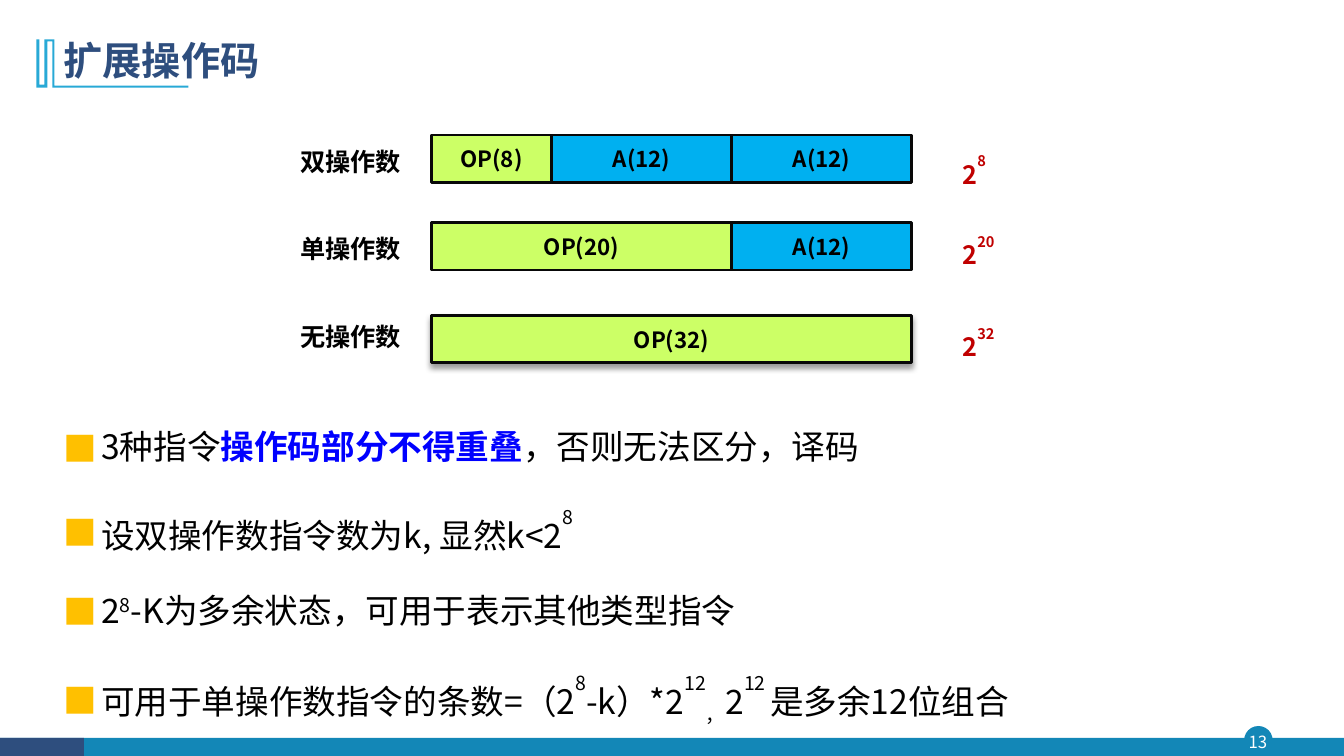
"""Build the slide on extended operation codes."""
from lxml.etree import SubElement
from pptx import Presentation
from pptx.dml.color import RGBColor
from pptx.enum.shapes import MSO_SHAPE
from pptx.enum.text import MSO_ANCHOR, PP_ALIGN
from pptx.oxml.ns import qn
from pptx.util import Pt

FONT = "Noto Sans CJK SC"
BLACK, WHITE, NAVY, TEAL, SKY = "000000", "FFFFFF", "2E4E7E", "1387B7", "28A9D6"
RED, BLUE, AMBER = "C00000", "0000FF", "FFC000"
OPCODE, ADDRESS, OUTLINE = "CCFF66", "00B0F0", "080808"

BIT_WIDTH, FIELD_LEFT, FIELD_HEIGHT = 10.72, 308.2, 33.8
FORMATS = [
    ("双操作数", 96.5, 100.8, 105.1, "8", [("OP", 8), ("A", 12), ("A", 12)]),
    ("单操作数", 159.1, 163.4, 162.7, "20", [("OP", 20), ("A", 12)]),
    ("无操作数", 225.4, 226.1, 228.2, "32", [("OP", 32)]),
]
ORNAMENT = [
    (38.9, 28.1), (38.9, 61.2), (134.6, 61.2), (134.6, 62.6), (37.4, 62.6),
    (37.4, 29.5), (33.8, 29.5), (33.8, 62.6), (25.9, 62.6), (25.9, 28.1),
    (28.1, 28.1), (28.1, 60.5), (31.7, 60.5), (31.7, 28.1),
]
POINTS = [
    [("3种指令", 0), ("操作码部分不得重叠", 0, BLUE), ("，否则无法区分，译码", 0)],
    [("设双操作数指令数为k, 显然k<2", 0), ("8", 70)],
    [("2", 0), ("8", 30), ("-K为多余状态，可用于表示其他类型指令", 0)],
    [("可用于单操作数指令的条数=（2", 0), ("8", 70), ("-k）*2", 0), ("12", 70),
     ("，", -25), ("2", 0), ("12 ", 70), ("是多余12位组合", 0)],
]


def rgb(code):
    return RGBColor.from_string(code)


class SlideBuilder:
    """Holds the text style and the current slide."""

    def __init__(self, slide, font):
        self.slide = slide
        self.font = font

    def style(self, run, size, color, bold=False, baseline=0):
        run.font.size = Pt(size)
        run.font.bold = bold
        run.font.name = self.font
        run.font.color.rgb = rgb(color)
        properties = run.font._element
        SubElement(properties, qn("a:ea")).set("typeface", self.font)
        if baseline:
            properties.set("baseline", str(baseline * 1000))

    def title(self, text, left, top, width, height):
        title = self.slide.shapes.title
        title.left, title.top, title.width, title.height = map(
            Pt, (left, top, width, height))
        frame = title.text_frame
        frame.text = text
        frame.vertical_anchor = MSO_ANCHOR.MIDDLE
        paragraph = frame.paragraphs[0]
        paragraph.alignment = PP_ALIGN.LEFT
        paragraph.line_spacing = 0.9
        self.style(paragraph.runs[0], 28, NAVY, bold=True)

    def block(self, kind, left, top, width, height, fill, line=None, text=""):
        block = self.slide.shapes.add_shape(
            kind, Pt(left), Pt(top), Pt(width), Pt(height))
        block.shadow.inherit = False
        block.fill.solid()
        block.fill.fore_color.rgb = rgb(fill)
        if line:
            block.line.color.rgb = rgb(line)
            block.line.width = Pt(2)
        else:
            block.line.fill.background()
        if text:
            block.text_frame.text = text
            block.text_frame.vertical_anchor = MSO_ANCHOR.MIDDLE
            paragraph = block.text_frame.paragraphs[0]
            paragraph.alignment = PP_ALIGN.CENTER
            self.style(paragraph.runs[0], 16, BLACK, bold=True)
        return block

    def drop_shadow(self, block):
        effects = block._element.spPr.find(qn("a:effectLst"))
        shadow = SubElement(effects, qn("a:outerShdw"), blurRad=str(Pt(4)),
                            dist=str(Pt(3)), dir="5400000", rotWithShape="0")
        color = SubElement(shadow, qn("a:srgbClr"), val=BLACK)
        SubElement(color, qn("a:alpha"), val="40000")

    def outline(self, points, fill):
        start, *rest = [(Pt(x), Pt(y)) for x, y in points]
        builder = self.slide.shapes.build_freeform(*start)
        builder.add_line_segments(rest, close=True)
        ornament = builder.convert_to_shape()
        ornament.shadow.inherit = False
        ornament.fill.solid()
        ornament.fill.fore_color.rgb = rgb(fill)
        ornament.line.fill.background()

    def text(self, parts, left, top, width, height, size, color, bold=False):
        label = self.slide.shapes.add_textbox(
            Pt(left), Pt(top), Pt(width), Pt(height))
        frame = label.text_frame
        frame.word_wrap = True
        self.add_runs(frame.paragraphs[0], parts, size, color, bold)
        return frame

    def add_runs(self, paragraph, parts, size, color, bold=False):
        for text, baseline, *accent in parts:
            run = paragraph.add_run()
            run.text = text
            self.style(run, size, accent[0] if accent else color,
                       bold or bool(accent), baseline)

    def bullets(self, points, left, top, width, height):
        body = self.slide.shapes.add_textbox(
            Pt(left), Pt(top), Pt(width), Pt(height))
        frame = body.text_frame
        frame.word_wrap = True
        for index, parts in enumerate(points):
            paragraph = frame.add_paragraph() if index else frame.paragraphs[0]
            paragraph.line_spacing = 1.5
            paragraph.space_before = Pt(10 if index else 0)
            properties = paragraph._p.get_or_add_pPr()
            properties.set("marL", str(Pt(27)))
            properties.set("indent", str(Pt(-27)))
            bullet_color = SubElement(properties, qn("a:buClr"))
            SubElement(bullet_color, qn("a:srgbClr"), val=AMBER)
            SubElement(properties, qn("a:buFont"), typeface=self.font)
            SubElement(properties, qn("a:buChar"), char="■")
            self.add_runs(paragraph, parts, 24, BLACK)


def main():
    deck = Presentation()
    deck.slide_width, deck.slide_height = Pt(960), Pt(540)
    page = SlideBuilder(deck.slides.add_slide(deck.slide_layouts[5]), FONT)

    page.block(MSO_SHAPE.OVAL, 888.7, 518.6, 20.4, 20.4, TEAL)
    page.block(MSO_SHAPE.RECTANGLE, 0, 527, 960, 13, TEAL)
    page.block(MSO_SHAPE.RECTANGLE, 0, 527, 60, 13, NAVY)
    number = page.text([("13", 0)], 887, 519, 23, 22, 12, WHITE)
    number.margin_left = number.margin_right = 0
    number.margin_top = number.margin_bottom = 0
    number.vertical_anchor = MSO_ANCHOR.MIDDLE
    number.paragraphs[0].alignment = PP_ALIGN.CENTER

    page.outline(ORNAMENT, SKY)
    page.title("扩展操作码", 38.2, 20.2, 828, 49)
    page.bullets(POINTS, 38.2, 286.6, 828, 231.8)

    for name, top, name_top, count_top, exponent, fields in FORMATS:
        page.text([("2", 0), (exponent, 70)], 680.4, count_top, 90.7, 29, 18, RED, True)
        left = FIELD_LEFT
        for role, bits in fields:
            width = bits * BIT_WIDTH
            field = page.block(MSO_SHAPE.RECTANGLE, left, top, width, FIELD_HEIGHT,
                               OPCODE if role == "OP" else ADDRESS, OUTLINE,
                               f"{role}({bits})")
            left += width
        if len(fields) == 1:
            page.drop_shadow(field)
        page.text([(name, 0)], 207.4, name_top, 90.7, 29, 18, BLACK, True)

    deck.save("out.pptx")


if __name__ == "__main__":
    main()
